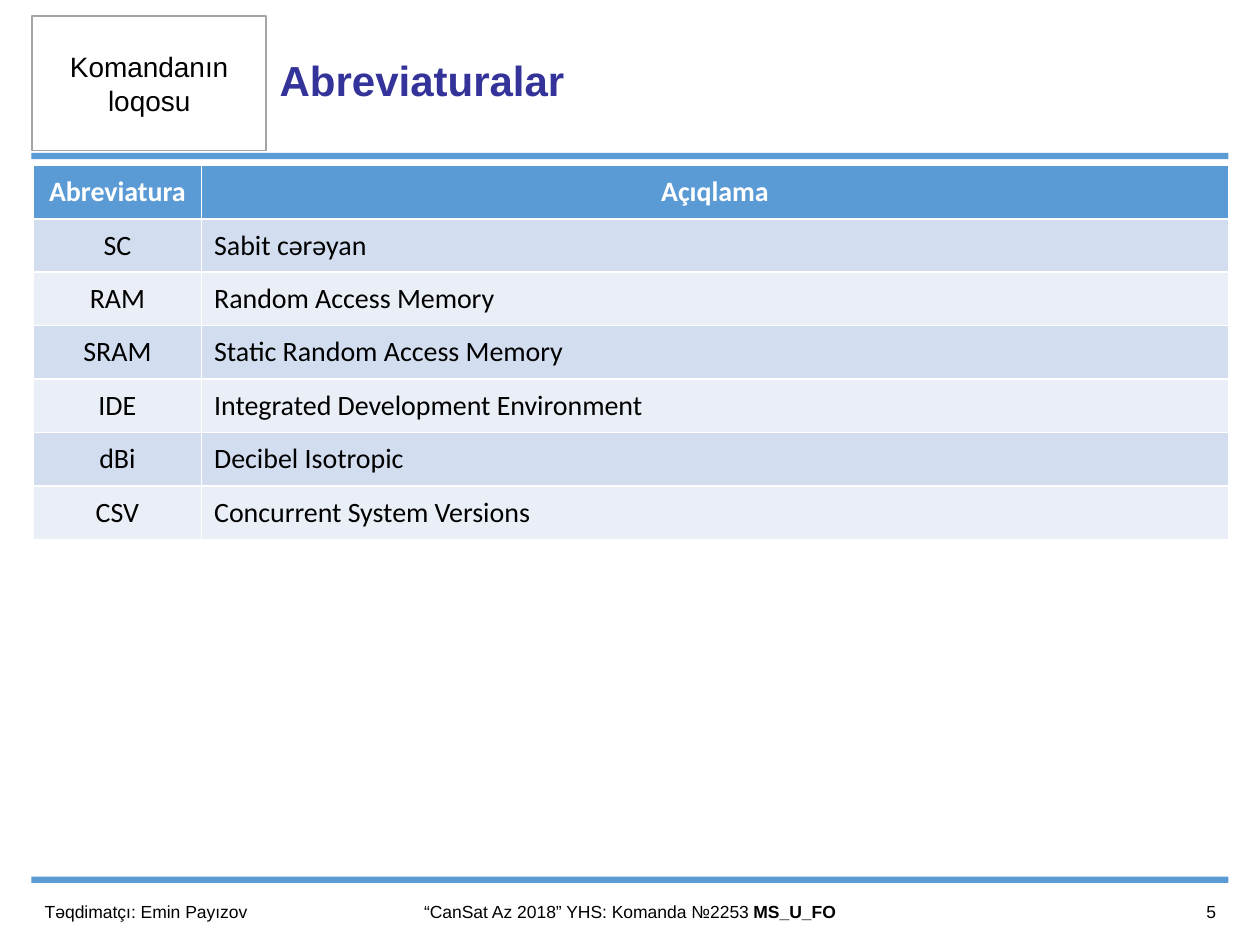
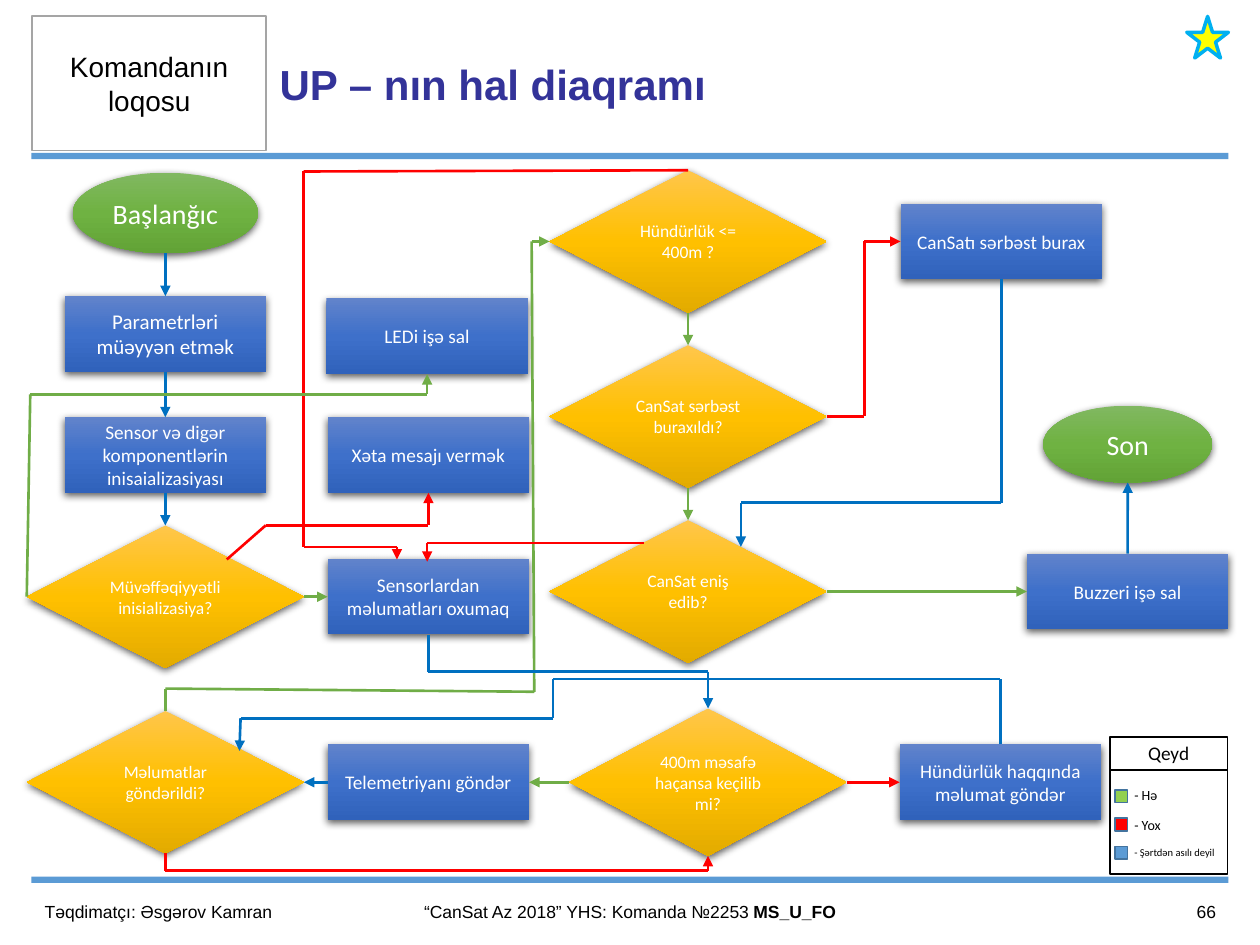
from itertools import pairwise

from pptx import Presentation
from pptx.dml.color import RGBColor
from pptx.enum.shapes import MSO_CONNECTOR, MSO_SHAPE
from pptx.enum.text import MSO_ANCHOR, PP_ALIGN
from pptx.oxml import parse_xml
from pptx.oxml.ns import nsdecls, qn
from pptx.util import Pt

COLORS = {
    "band": "5B9BD5", "title": "333399", "black": "000000", "white": "FFFFFF",
    "frame": "A5A5A5", "row_dark": "D2DEEF", "row_light": "EAEFF7",
    "always": "0070C0", "yes": "70AD47", "no": "FF0000",
    "star": "FFFF00", "star_edge": "00B0F0",
    "key_yes": "92D050", "key_edge": "43739E",
}
LEFT, WIDTH = 18.5, 683.5
TOP, MIDDLE = MSO_ANCHOR.TOP, MSO_ANCHOR.MIDDLE

# Flowchart kinds: preset shape, gradient from top to bottom
KINDS = {
    "terminal": (MSO_SHAPE.OVAL, ("81B861", "6FB242", "62A336")),
    "step": (MSO_SHAPE.RECTANGLE, ("6183CB", "3E70CA", "3062BB")),
    "decision": (MSO_SHAPE.FLOWCHART_DECISION, ("FFC64B", "FFC000", "E3AB00")),
}
STEP, DECISION = (115.2, 43.2), (158.4, 81.4)

# Flowchart nodes: kind, centre, size, text, font size
NODES = {
    "start": ("terminal", (94.5, 121.7), (105.8, 46), "Başlanğıc", 16),
    "setup": ("step", (94.5, 190.8), STEP, "Parametrləri müəyyən etmək", 12),
    "init": ("step", (94.5, 260), STEP,
             "Sensor və digər komponentlərin inisaializasiyası", 11),
    "init_ok": ("decision", (94.5, 341), DECISION,
                "Müvəffəqiyyətli inisializasiya?", 10),
    "error": ("step", (244.8, 260), STEP, "Xəta mesajı vermək", 11),
    "read": ("step", (244.8, 341), STEP, "Sensorlardan məlumatları oxumaq", 11),
    "sent": ("decision", (94.5, 447), DECISION, "Məlumatlar göndərildi?", 10),
    "telemetry": ("step", (244.8, 447), STEP, "Telemetriyanı göndər", 11),
    "height": ("decision", (393.2, 138), DECISION, "Hündürlük <= 400m ?", 10),
    "released": ("decision", (393.2, 238), DECISION, "CanSat sərbəst buraxıldı?", 10),
    "landed": ("decision", (393.2, 338), DECISION, "CanSat eniş edib?", 10),
    "buzzer": ("step", (644.4, 338), STEP, "Buzzeri işə sal", 11),
    "release": ("step", (572.2, 138), STEP, "CanSatı sərbəst burax", 11),
    "led": ("step", (244.1, 192.2), STEP, "LEDi işə sal", 11),
    "passed": ("decision", (404.6, 447), (158.4, 84.2),
               "400m məsafə haçansa keçilib mi?", 10),
    "report": ("step", (571.7, 447), STEP, "Hündürlük haqqında məlumat göndər", 11),
    "end": ("terminal", (644.4, 253.8), (96.5, 43.9), "Son", 16),
}

# Routes: colour, then node sides and corner points; the last point gets the arrowhead
ROUTES = [
    ("always", "start.bottom", "setup.top"),
    ("always", "setup.bottom", "init.top"),
    ("always", "init.bottom", "init_ok.top"),
    ("yes", "init_ok.right", "read.left"),
    ("always", "telemetry.left", "sent.right"),
    ("yes", "height.bottom", "released.top"),
    ("yes", "released.bottom", "landed.top"),
    ("yes", "landed.right", "buzzer.left"),
    ("always", "buzzer.top", "end.bottom"),
    ("no", "passed.right", "report.left"),
    ("yes", "passed.left", "telemetry.right"),
    ("always", "release.bottom", (572.2, 287.3), (423.4, 287.3), (423.4, 312.5)),
    ("yes", "sent.top", (94.5, 393.5), (305.3, 395.3), (303.8, 138), "height.left"),
    ("no", "sent.bottom", (94.5, 497.5), (404.6, 497.5), "passed.bottom"),
    ("no", (129.6, 319.7), (151.9, 300.2), (244.8, 300.2), "error.bottom"),
    ("no", "released.right", (493.9, 238), (493.9, 138), "release.left"),
    ("no", (367.9, 310.3), (244.1, 310.3), (244.1, 321)),
    ("no", "height.top", (173.5, 98), (173.5, 312.5), (226.8, 312.5), (226.8, 319.7)),
    ("yes", "init_ok.left", (17.3, 225.4), (244.1, 225.4), "led.bottom"),
    ("always", "read.bottom", (244.8, 383.8), (404.6, 383.8), "passed.top"),
    ("always", "report.top", (571.7, 388.1), (316.1, 388.1), (316.1, 410.4),
     (137.5, 410.4), (136.8, 429.1)),
]
# Side: connection site, offset from the centre in half sizes
SIDES = {"top": (0, 0, -1), "left": (1, -1, 0), "bottom": (2, 0, 1), "right": (3, 1, 0)}

ABBREVIATIONS = [
    ("Abreviatura", "Açıqlama"),
    ("SC", "Sabit cərəyan"),
    ("RAM", "Random Access Memory"),
    ("SRAM", "Static Random Access Memory"),
    ("IDE", "Integrated Development Environment"),
    ("dBi", "Decibel Isotropic"),
    ("CSV", "Concurrent System Versions"),
]


def color(name):
    return RGBColor.from_string(COLORS[name])


def points(*lengths):
    return [Pt(length) for length in lengths]


def write(frame, text, size, ink="black", font="Arial", bold=False,
          align=PP_ALIGN.LEFT, anchor=MIDDLE):
    """Add one run to the first paragraph of a text frame or cell frame."""
    frame.word_wrap = True
    frame.vertical_anchor = anchor
    para = frame.paragraphs[0]
    para.alignment = align
    span = para.add_run()
    span.text = text
    span.font.size, span.font.name, span.font.bold = Pt(size), font, bold
    span.font.color.rgb = color(ink)


def add_text(page, box, text, size, **style):
    frame = page.shapes.add_textbox(*points(*box)).text_frame
    write(frame, text, size, **style)
    return frame


def add_preset(page, preset, box, fill=None, edge=None, edge_width=1):
    shape = page.shapes.add_shape(preset, *points(*box))
    shape.shadow.inherit = False
    if fill:
        shape.fill.solid()
        shape.fill.fore_color.rgb = color(fill)
    else:
        shape.fill.background()
    if edge:
        shape.line.color.rgb = color(edge)
        shape.line.width = Pt(edge_width)
    else:
        shape.line.fill.background()
    return shape


def add_line(page, start, end, ink, width=1.5, arrow=False):
    line = page.shapes.add_connector(MSO_CONNECTOR.STRAIGHT, *points(*start, *end))
    line.line.color.rgb = color(ink)
    line.line.width = Pt(width)
    if arrow:
        line.line._get_or_add_ln().append(
            parse_xml(f'<a:tailEnd {nsdecls("a")} type="triangle"/>'))
    line.element.spPr.append(parse_xml(f'<a:effectLst {nsdecls("a")}/>'))
    return line


def dress_layout(page):
    """Build the bands and the team box, then move them to the page's layout."""
    parts = [add_preset(page, MSO_SHAPE.RECTANGLE, (18, top, 684, 3.6), "band")
             for top in (87.3, 501)]
    logo = add_preset(page, MSO_SHAPE.RECTANGLE, (LEFT, 9, 133.5, 77), "white", "frame")
    write(logo.text_frame, "Komandanın loqosu", 16, align=PP_ALIGN.CENTER)
    for number, part in enumerate([*parts, logo], 20):
        part.element.nvSpPr.cNvPr.set("id", str(number))
        page.slide_layout.shapes.element.append(part.element)


def add_page(deck, title, title_top, presenter, number):
    """Title and footer that every slide has."""
    page = deck.slides.add_slide(deck.slide_layouts[5])
    heading = page.shapes.title
    heading.left, heading.top, heading.width, heading.height = points(
        152.6, title_top, 432, 76.3)
    write(heading.text_frame, title, 24, ink="title", bold=True)

    top, height = 506.2, 28.8
    add_text(page, (LEFT, top, 172, height), f"Təqdimatçı: {presenter}", 10)
    add_text(page, (630, top, 72, height), number, 10, align=PP_ALIGN.RIGHT)
    footer = add_text(page, (190.8, top, 338.4, height),
                      "“CanSat Az 2018” YHS: Komanda №2253 ", 10)
    write(footer, "MS_U_FO", 10, bold=True, align=PP_ALIGN.CENTER)
    return page


def add_abbreviations(page, box):
    left, top, width, height = box
    table = page.shapes.add_table(len(ABBREVIATIONS), 2, *points(*box)).table
    table.columns[0].width, table.columns[1].width = points(96.2, width - 96.2)
    for index, entry in enumerate(ABBREVIATIONS):
        table.rows[index].height = Pt(height / len(ABBREVIATIONS))
        header = index == 0
        fill = "band" if header else ("row_light", "row_dark")[index % 2]
        for column, text in enumerate(entry):
            cell = table.cell(index, column)
            cell.fill.solid()
            cell.fill.fore_color.rgb = color(fill)
            centred = header or column == 0
            write(cell.text_frame, text, 16, "white" if header else "black", "Calibri",
                  bold=header, align=PP_ALIGN.CENTER if centred else PP_ALIGN.LEFT)
            cell.vertical_anchor = MIDDLE


def add_node(page, origin, kind, centre, size, text, font_size):
    preset, shades = KINDS[kind]
    corner = [start + middle - length / 2
              for start, middle, length in zip(origin, centre, size)]
    node = add_preset(page, preset, (*corner, *size))
    # Vertical gradient with three stops
    node.fill.gradient()
    node.fill.gradient_angle = 270
    stops = node.element.spPr.find(".//" + qn("a:gsLst"))
    stops.clear()
    for index, shade in enumerate(shades):
        stops.append(parse_xml(f'<a:gs {nsdecls("a")} pos="{index * 50000}">'
                               f'<a:srgbClr val="{shade}"/></a:gs>'))
    # Soft shadow below
    node.element.spPr.find(qn("a:effectLst")).append(parse_xml(
        f'<a:outerShdw {nsdecls("a")} blurRad="{Pt(4.5)}" dist="{Pt(1.5)}" dir="5400000" '
        'algn="ctr" rotWithShape="0"><a:srgbClr val="000000"><a:alpha val="63000"/>'
        '</a:srgbClr></a:outerShdw>'))
    write(node.text_frame, text, font_size, "white", "Calibri", align=PP_ALIGN.CENTER)
    return node


def locate(stop, origin):
    """Turn a node side or a corner point into a position on the slide."""
    if isinstance(stop, str):
        name, side = stop.split(".")
        centre, size = NODES[name][1:3]
        stop = [middle + length / 2 * step
                for middle, length, step in zip(centre, size, SIDES[side][1:])]
    return [start + offset for start, offset in zip(origin, stop)]


def glue(connect, stop, nodes):
    """Attach a line end to a node; ellipses number their sites differently."""
    if isinstance(stop, str):
        name, side = stop.split(".")
        if NODES[name][0] != "terminal":
            connect(nodes[name], SIDES[side][0])


def add_flowchart(page, origin):
    nodes = {name: add_node(page, origin, *node) for name, node in NODES.items()}
    for ink, *stops in ROUTES:
        legs = list(pairwise(stops))
        for index, (start, end) in enumerate(legs, 1):
            line = add_line(page, locate(start, origin), locate(end, origin), ink,
                            arrow=index == len(legs))
            glue(line.begin_connect, start, nodes)
            glue(line.end_connect, end, nodes)


def add_legend(page, box):
    left, top, width, height = box
    add_preset(page, MSO_SHAPE.RECTANGLE, box, edge="black", edge_width=0.75)
    add_text(page, (left, top - 1.5, width, 21), "Qeyd", 11, font="Calibri",
             align=PP_ALIGN.CENTER)
    add_line(page, (left, top + 18.8), (left + width, top + 18.8), "black", 1)
    entries = [("key_yes", "- Hə", 8, 24.5), ("no", "- Yox", 8, 41.8),
               ("band", "- Şərtdən asılı deyil", 6, 59)]
    for index, (fill, text, size, offset) in enumerate(entries):
        add_preset(page, MSO_SHAPE.RECTANGLE,
                   (left + 2.9, top + 30.2 + 16.2 * index, 7.2, 7.2), fill, "key_edge")
        add_text(page, (left + 6.8, top + offset, 61, 17), text, size,
                 font="Calibri", anchor=TOP)


def main():
    deck = Presentation()
    deck.slide_width, deck.slide_height = points(720, 540)

    # Abbreviations
    page = add_page(deck, "Abreviaturalar", 7.5, "Emin Payızov", "5")
    dress_layout(page)
    add_abbreviations(page, (LEFT + 0.5, 94.5, WIDTH - 0.5, 213.8))

    # State diagram
    page = add_page(deck, "UP – nın hal diaqramı", 9.4, "Əsgərov Kamran", "66")
    add_preset(page, MSO_SHAPE.STAR_5_POINT, (678.2, 9.4, 23.8, 23.8),
               "star", "star_edge", 2)
    add_flowchart(page, (0, 0))
    add_legend(page, (634.3, 421.2, 67, 78.3))

    deck.save("out.pptx")


if __name__ == "__main__":
    main()
